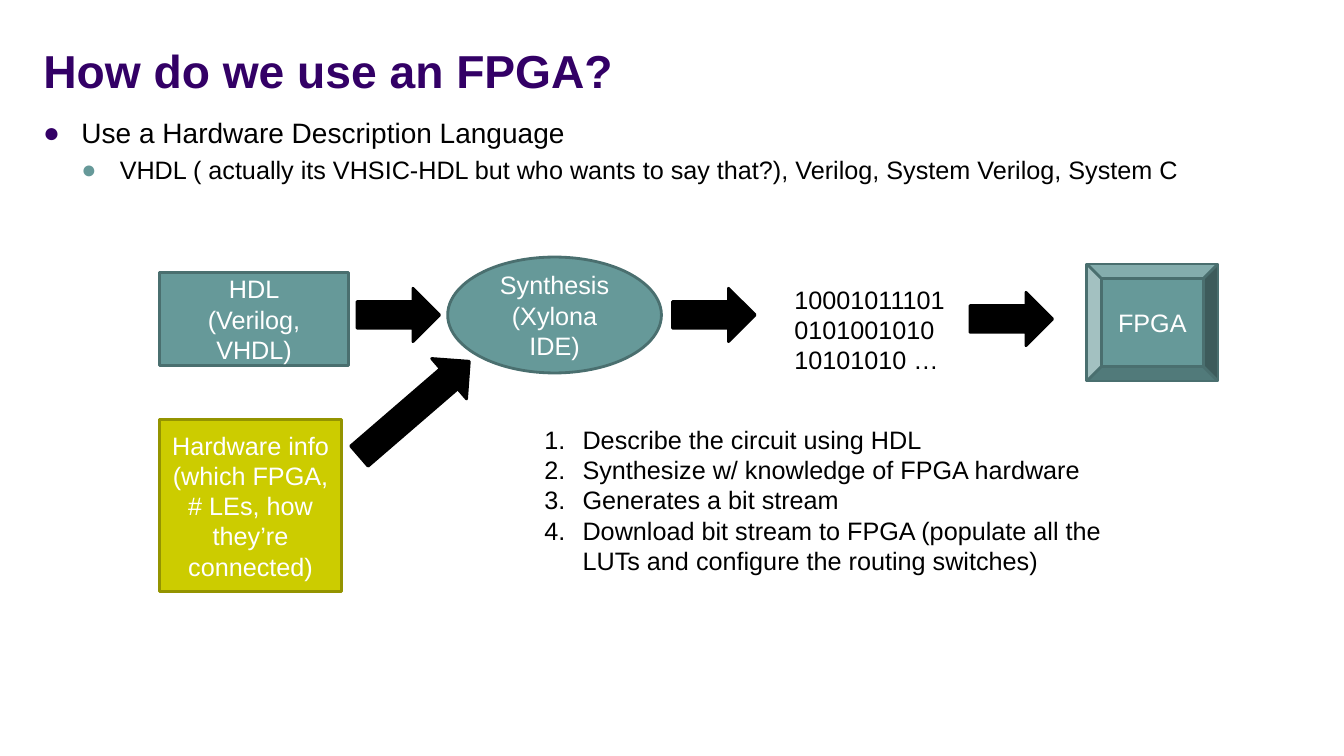
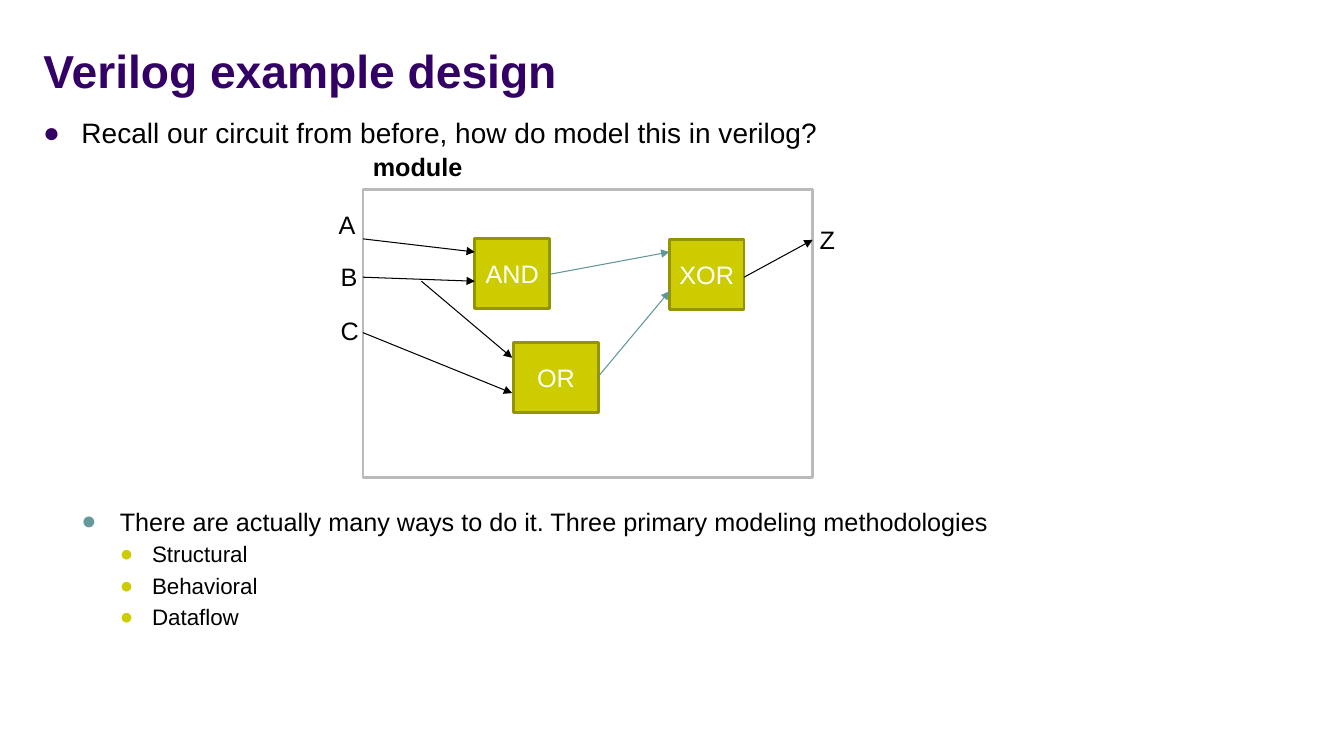
from pptx import Presentation
from pptx.dml.color import RGBColor
from pptx.enum.shapes import MSO_CONNECTOR as Connector, MSO_SHAPE as Preset
from pptx.enum.text import MSO_ANCHOR as Anchor, MSO_AUTO_SIZE as AutoSize, PP_ALIGN as Align
from pptx.oxml.ns import qn
from pptx.util import Emu, Pt
from lxml.etree import SubElement

# Shared style: lengths are px, 100 to the inch
SCALE = 9144
FONT = "Arial"
BLACK = RGBColor(0x00, 0x00, 0x00)
WHITE = RGBColor(0xFF, 0xFF, 0xFF)
PURPLE = RGBColor(0x33, 0x00, 0x66)
TEAL = RGBColor(0x66, 0x99, 0x99)
TEAL_EDGE = RGBColor(0x4A, 0x6F, 0x6F)
TEAL_WIRE = RGBColor(0x61, 0x96, 0x96)
LIME = RGBColor(0xCC, 0xCC, 0x00)
LIME_EDGE = RGBColor(0x94, 0x94, 0x00)
GREY = RGBColor(0xBA, 0xBA, 0xBA)

# Outline levels: size, bullet colour, text indent, hanging indent, space before
LEVELS = [
    (20, PURPLE, 38, 38, 0),
    (18, TEAL, 76, 38, 3.6),
    (16, LIME, 108, 32, 3.2),
]


def px(*lengths):
    return [Emu(round(length * SCALE)) for length in lengths]


def style_text(frame, size=18, color=BLACK, bold=False, align=Align.LEFT):
    frame.word_wrap = True
    for para in frame.paragraphs:
        para.alignment = align
        for run in para.runs:
            font = run.font
            font.name, font.size, font.bold = FONT, Pt(size), bold
            font.color.rgb = color


def add_bullet(para, color, indent, hang, tag, **attributes):
    """Give a paragraph a hanging bullet or number."""
    props = para._p.get_or_add_pPr()
    props.set("marL", str(indent * SCALE))
    props.set("indent", str(-hang * SCALE))
    SubElement(SubElement(props, qn("a:buClr")), qn("a:srgbClr"), val=str(color))
    SubElement(props, qn("a:buFont"), typeface=FONT)
    SubElement(props, qn(tag), **attributes)


def add_label(page, text, left, top, width, height=40, bold=False):
    box = page.shapes.add_textbox(*px(left, top, width, height))
    box.text_frame.text = text
    style_text(box.text_frame, bold=bold)
    return box


def add_block(page, preset, left, top, width, height, fill, edge, text=""):
    block = page.shapes.add_shape(preset, *px(left, top, width, height))
    block.shadow.inherit = False
    block.fill.solid()
    block.fill.fore_color.rgb = fill
    block.line.color.rgb = edge
    block.line.width = Pt(2)
    if text:
        block.text_frame.text = text
        block.text_frame.vertical_anchor = Anchor.MIDDLE
        style_text(block.text_frame, color=WHITE, align=Align.CENTER)
    return block


def add_wire(page, start, end, color):
    wire = page.shapes.add_connector(Connector.STRAIGHT, *px(*start, *end))
    wire.line.color.rgb = color
    wire.line.width = Pt(0.75)
    SubElement(wire.line._get_or_add_ln(), qn("a:tailEnd"), type="triangle")
    SubElement(wire._element.spPr, qn("a:effectLst"))


def add_outline(page, items, left, top, width, height):
    """Bulleted body; each item is level, text and extra space before."""
    box = page.shapes.add_textbox(*px(left, top, width, height))
    box.text_frame.text = "\n".join(text for _, text, _ in items)
    style_text(box.text_frame)
    for para, (level, _, gap) in zip(box.text_frame.paragraphs, items):
        size, color, indent, hang, before = LEVELS[level]
        para.level = level
        para.space_before = Pt(before + gap)
        para.runs[0].font.size = Pt(size)
        add_bullet(para, color, indent, hang, "a:buChar", char="●")


def add_page(deck, title, items):
    """Title-only page with its title and outline."""
    page = deck.slides.add_slide(deck.slide_layouts[5])
    heading = page.shapes.title
    heading.left, heading.top, heading.width, heading.height = px(33, 7, 1267, 95)
    frame = heading.text_frame
    frame.text = title
    frame.vertical_anchor = Anchor.BOTTOM
    frame.auto_size = AutoSize.NONE
    style_text(frame, 33, PURPLE, bold=True)
    add_outline(page, items, 33, 110, 1267, 573)
    return page


def draw_tool_flow(page, left, top):
    # Stages
    stages = [
        (Preset.RECTANGLE, 0, 15, 188, 93, TEAL, TEAL_EDGE, "HDL\n(Verilog, VHDL)"),
        (Preset.OVAL, 286, 0, 212, 115, TEAL, TEAL_EDGE, "Synthesis\n(Xylona IDE)"),
        (Preset.BEVEL, 920, 7, 130, 116, TEAL, TEAL_EDGE, "FPGA"),
        (Preset.RECTANGLE, 0, 161, 181, 171, LIME, LIME_EDGE,
         "Hardware info (which FPGA, # LEs, how they’re connected)"),
    ]
    for preset, x, y, *rest in stages:
        add_block(page, preset, left + x, top + y, *rest)

    # Arrows between stages
    arrows = [(196, 31, 82, 0), (509, 31, 82, 0), (804, 35, 82, 0), (181, 124, 144, 319.2)]
    for x, y, width, angle in arrows:
        arrow = add_block(page, Preset.RIGHT_ARROW, left + x, top + y, width, 53, BLACK, BLACK)
        arrow.rotation = angle

    # Bit stream
    add_label(page, "10001011101\v0101001010\v10101010 …", left + 620, top + 22, 180, 101)


def draw_steps(page, left, top, width, height):
    steps = [
        "Describe the circuit using HDL",
        "Synthesize w/ knowledge of FPGA hardware",
        "Generates a bit stream",
        "Download bit stream to FPGA (populate all the LUTs and configure the routing switches)",
    ]
    box = add_label(page, "\n".join(steps), left, top, width, height)
    for para in box.text_frame.paragraphs:
        add_bullet(para, BLACK, 38, 38, "a:buAutoNum", type="arabicPeriod")


def draw_circuit(page, left, top, width, height):
    # Module frame
    add_block(page, Preset.RECTANGLE, left, top, width, height, WHITE, GREY)
    add_label(page, "module", left, top - 43, 266, bold=True)

    # Gates
    for name, x, y, gate_width in [("AND", 111, 49, 74), ("OR", 149, 152, 85), ("XOR", 304, 50, 74)]:
        add_block(page, Preset.RECTANGLE, left + x, top + y, gate_width, 69, LIME, LIME_EDGE, name)

    # Wires
    wires = [
        (0, 49, 111, 62, BLACK),
        (0, 87, 111, 91, BLACK),
        (0, 142, 148, 202, BLACK),
        (58, 91, 148, 167, BLACK),
        (233, 186, 304, 101, TEAL_WIRE),
        (186, 84, 304, 62, TEAL_WIRE),
        (378, 87, width, 50, BLACK),
    ]
    for x1, y1, x2, y2, color in wires:
        add_wire(page, (left + x1, top + y1), (left + x2, top + y2), color)

    # Ports
    for name, x, y in [("A", -34, 15), ("B", -32, 66), ("C", -32, 120), ("Z", width - 3, 30)]:
        add_label(page, name, left + x, top + y, 40)


def main():
    deck = Presentation()
    deck.slide_width, deck.slide_height = px(1333, 750)

    usage = add_page(deck, "How do we use an FPGA?", [
        (0, "Use a Hardware Description Language", 0),
        (1, "VHDL ( actually its VHSIC-HDL but who wants to say that?), "
            "Verilog, System Verilog, System C", 0),
    ])
    draw_tool_flow(usage, 158, 255)
    draw_steps(usage, 530, 416, 614, 162)

    example = add_page(deck, "Verilog example design", [
        (0, "Recall our circuit from before, how do model this in verilog?", 0),
        (1, "There are actually many ways to do it. Three primary modeling methodologies", 251),
        (2, "Structural", 0),
        (2, "Behavioral", 0),
        (2, "Dataflow", 0),
    ])
    draw_circuit(example, 360, 188, 446, 286)

    deck.save("out.pptx")


if __name__ == "__main__":
    main()
